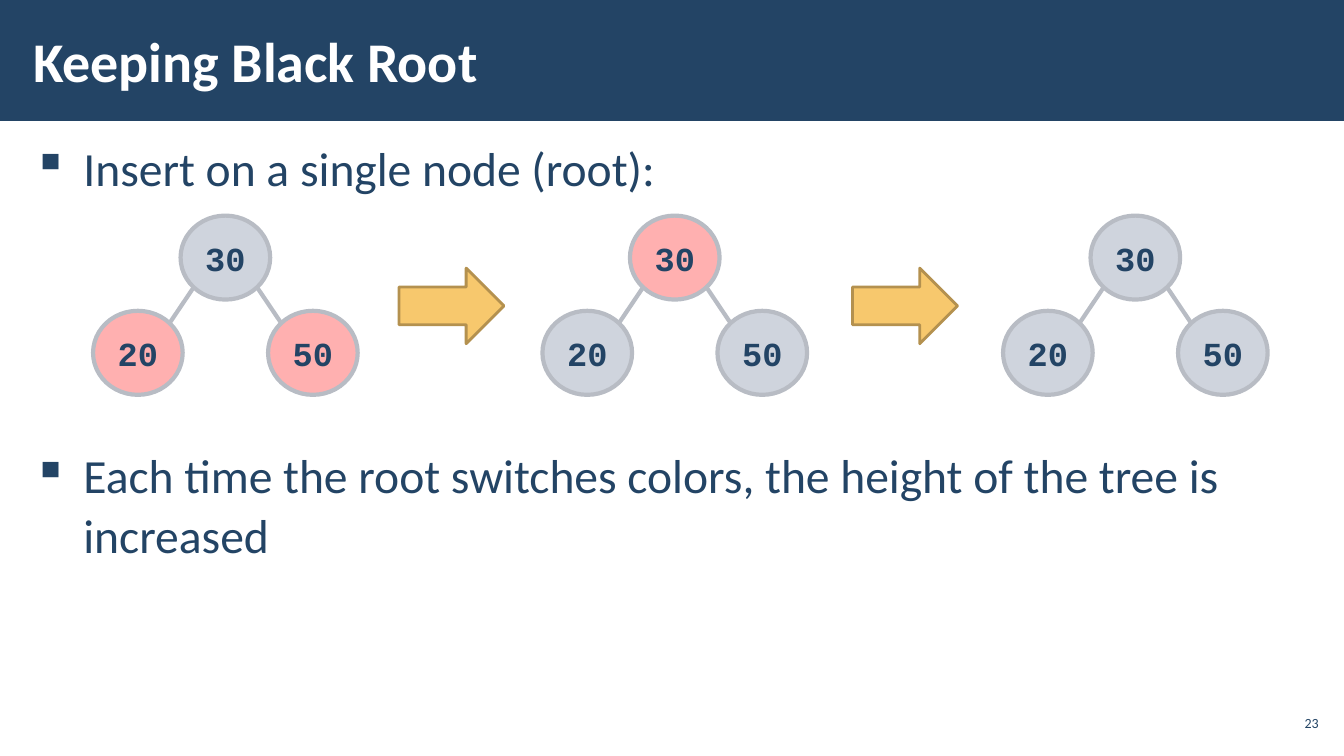
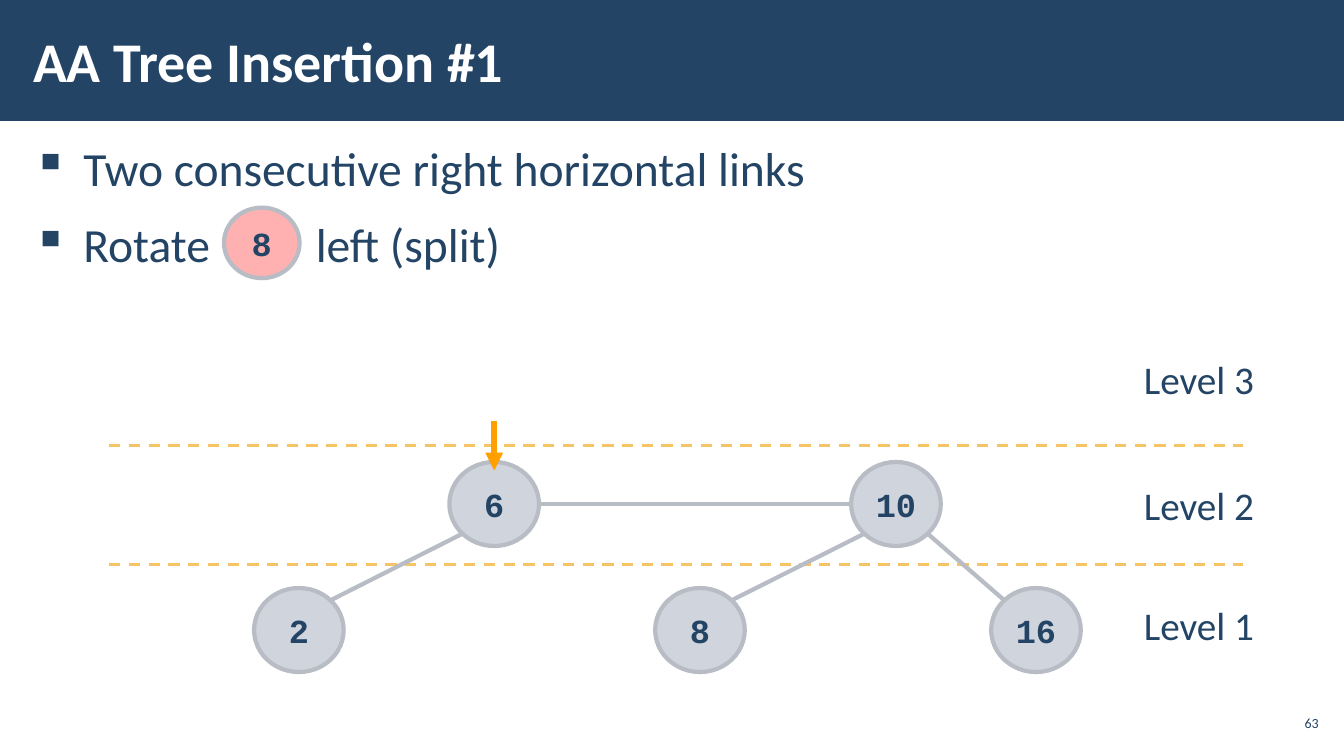
from math import sqrt

from lxml.etree import SubElement
from pptx import Presentation
from pptx.dml.color import RGBColor
from pptx.enum.dml import MSO_LINE
from pptx.enum.shapes import MSO_CONNECTOR, MSO_SHAPE
from pptx.enum.text import MSO_ANCHOR, PP_ALIGN
from pptx.oxml.ns import qn
from pptx.util import Pt

COLORS = {
    "navy": "234465", "white": "FFFFFF", "red": "FFB0B0", "black": "A1AABC",
    "edge": "B8BCC4", "gold": "F7C86D", "rim": "B4914F", "dash": "F4C466",
    "mark": "FFA000",
}
SANS, MONO = "Calibri", "Courier New"
WIDE, HIGH = 960, 540
NODE = (64, 60)
DIAG = sqrt(2) / 4  # offset of an ellipse's diagonal point, per unit of size


def rgb(name):
    return RGBColor.from_string(COLORS[name])


def style(para, size, color="navy", face=SANS, bold=False):
    font = para.font
    font.size, font.name, font.bold = Pt(size), face, bold
    font.color.rgb = rgb(color)


def add_shape(slide, kind, box, fill, rim=None, width=0):
    shape = slide.shapes.add_shape(kind, *map(Pt, box))
    shape.shadow.inherit = False
    shape.fill.solid()
    shape.fill.fore_color.rgb = rgb(fill)
    if rim:
        shape.line.color.rgb = rgb(rim)
        shape.line.width = Pt(width)
    else:
        shape.line.fill.background()
    return shape


def add_text(slide, box, text, size, color="navy", bold=False, pad=(7.2, 3.6),
             anchor=MSO_ANCHOR.TOP, align=PP_ALIGN.LEFT):
    frame = slide.shapes.add_textbox(*map(Pt, box)).text_frame
    frame.word_wrap = True
    frame.vertical_anchor = anchor
    frame.margin_left = frame.margin_right = Pt(pad[0])
    frame.margin_top = frame.margin_bottom = Pt(pad[1])
    frame.text = text
    for para in frame.paragraphs:
        para.alignment = align
        style(para, size, color, bold=bold)
    return frame


def add_line(slide, start, end, color, width):
    line = slide.shapes.add_connector(
        MSO_CONNECTOR.STRAIGHT, *map(Pt, (*start, *end)))
    line.line.color.rgb = rgb(color)
    line.line.width = Pt(width)
    SubElement(line._element.spPr, qn("a:effectLst"))
    return line


def add_node(slide, mid, key, fill="black", size=NODE):
    (x, y), (w, h) = mid, size
    node = add_shape(slide, MSO_SHAPE.OVAL, (x - w / 2, y - h / 2, w, h),
                     fill, "edge", 3)
    if fill == "black":
        tint = node._element.spPr.find(qn("a:solidFill"))[0]
        SubElement(tint, qn("a:alpha"), val="50000")
    frame = node.text_frame
    frame.word_wrap = False
    frame.vertical_anchor = MSO_ANCHOR.MIDDLE
    frame.text = str(key)
    para = frame.paragraphs[0]
    para.alignment = PP_ALIGN.CENTER
    style(para, 24, face=MONO, bold=True)


def add_link(slide, top, low):
    """Join two nodes sideways, or at their diagonal points."""
    (x1, y1), (x2, y2) = top, low
    side = 1 if x2 > x1 else -1
    if y1 == y2:
        dx, dy = side * NODE[0] / 2, 0
    else:
        dx, dy = side * NODE[0] * DIAG, NODE[1] * DIAG
    add_line(slide, (x1 + dx, y1 + dy), (x2 - dx, y2 - dy), "edge", 3)


def add_tree(slide, mid, root, leaf):
    x, y = mid
    add_node(slide, mid, 30, root)
    for key, dx in ((20, -62.5), (50, 62.5)):
        low = (x + dx, y + 68)
        add_link(slide, mid, low)
        add_node(slide, low, key, leaf)


def add_body(slide, lines, gap=12):
    frame = add_text(slide, (15, 94, 930, 410), "\n".join(lines), 34,
                     pad=(8.6, 3))
    for i, para in enumerate(frame.paragraphs):
        para.line_spacing = 1.05
        para.space_before = Pt(gap if i else 0)
        props = para._p.get_or_add_pPr()
        props.set("marL", str(Pt(36)))
        props.set("indent", str(-Pt(36)))
        tint = SubElement(props, qn("a:buClr"))
        SubElement(tint, qn("a:srgbClr"), val=COLORS["navy"])
        SubElement(props, qn("a:buChar"), char="▪")
        # pPr children have a fixed order: font defaults come last
        props.append(props.find(qn("a:defRPr")))
    return frame


def add_tab(para, pos):
    props = para._p.get_or_add_pPr()
    tabs = SubElement(props, qn("a:tabLst"))
    SubElement(tabs, qn("a:tab"), pos=str(Pt(pos)), algn="l")
    props.append(props.find(qn("a:defRPr")))


def add_page(deck, title, number):
    slide = deck.slides.add_slide(deck.slide_layouts[6])
    add_shape(slide, MSO_SHAPE.RECTANGLE, (0, 0, WIDE, 86.4), "navy")
    add_text(slide, (15, 8, 749, 70), title, 40, "white", True, (8.6, 3),
             MSO_ANCHOR.MIDDLE)
    add_text(slide, (911, 504, 34, 24.5), str(number), 10, pad=(3, 3),
             anchor=MSO_ANCHOR.MIDDLE, align=PP_ALIGN.RIGHT)
    return slide


def root_page(deck):
    slide = add_page(deck, "Keeping Black Root", 23)
    add_body(slide, (
        "Insert on a single node (root):",
        "Each time the root switches colors, the height of the tree is "
        "increased"), gap=177)
    # Three stages with arrows between them
    for x, root, leaf in ((161, "black", "red"), (482, "red", "black"),
                          (811, "black", "black")):
        add_tree(slide, (x, 184), root, leaf)
    for x in (285, 609):
        add_shape(slide, MSO_SHAPE.RIGHT_ARROW, (x, 191.5, 75, 54),
                  "gold", "rim", 2)


def split_page(deck):
    slide = add_page(deck, "AA Tree Insertion #1", 63)
    frame = add_body(slide, ("Two consecutive right horizontal links",
                             "Rotate\tleft (split)"))
    add_tab(frame.paragraphs[1], 202)
    add_node(slide, (187, 173.5), 8, "red", (54, 50.4))
    # Levels
    for y in (318, 403):
        line = add_line(slide, (78, y), (888, y), "dash", 2)
        line.line.dash_style = MSO_LINE.DASH
    for level, y in ((3, 250.5), (2, 340), (1, 426)):
        add_text(slide, (810, y, 94, 41), f"Level {level}", 28)
    # Tree
    spots = {6: (353, 360), 10: (640, 360),
             2: (213.5, 450), 8: (500, 450), 16: (740, 450)}
    for top, low in ((6, 2), (6, 10), (10, 8), (10, 16)):
        add_link(slide, spots[top], spots[low])
    for key, mid in spots.items():
        add_node(slide, mid, key)
    # Current node
    mark = add_line(slide, (353, 301), (353, 336), "mark", 4.25)
    SubElement(mark.line._get_or_add_ln(), qn("a:tailEnd"), type="triangle")


def main():
    deck = Presentation()
    deck.slide_width, deck.slide_height = Pt(WIDE), Pt(HIGH)
    root_page(deck)
    split_page(deck)
    deck.save("out.pptx")


if __name__ == "__main__":
    main()
